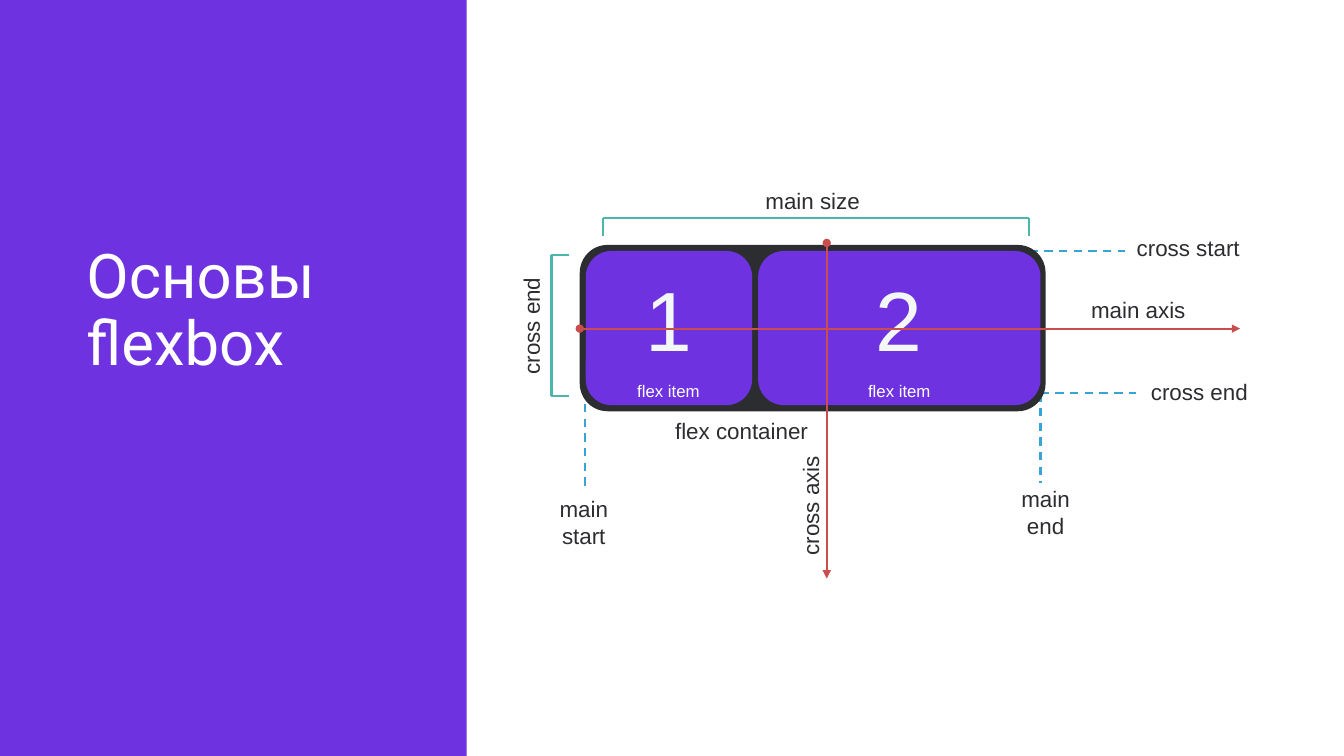
from dataclasses import dataclass

import pptx
import pptx.dml.color
import pptx.enum.dml
import pptx.enum.shapes
import pptx.enum.text
import pptx.oxml
import pptx.oxml.ns
import pptx.util
from pptx.util import Inches

ALIGN = pptx.enum.text.PP_ALIGN
ANCHOR = pptx.enum.text.MSO_ANCHOR
SHAPE = pptx.enum.shapes.MSO_SHAPE


@dataclass(frozen=True)
class Theme:
    purple: str = "6E32E0"
    dark: str = "2C2D30"
    white: str = "FFFFFF"
    digit: str = "F3F7F5"
    guide: str = "38A3D5"
    axis: str = "C94D4C"
    bracket: str = "4DB6AC"
    title_font: str = "Roboto"
    body_font: str = "Arial"
    title_size: int = 44
    digit_size: int = 60
    label_size: int = 16
    item_size: int = 12
    line_width: float = 1.5


THEME = Theme()


def rgb(color):
    return pptx.dml.color.RGBColor.from_string(color)


def add_text(slide, text, left, top, width, height, *, size=THEME.label_size,
             font=THEME.body_font, color=THEME.dark, align=ALIGN.CENTER,
             anchor=ANCHOR.MIDDLE, inset_y=0.1, spacing=None, rotation=0):
    box = slide.shapes.add_textbox(Inches(left), Inches(top), Inches(width), Inches(height))
    box.rotation = rotation
    frame = box.text_frame
    frame.word_wrap = True
    frame.vertical_anchor = anchor
    frame.margin_left = frame.margin_right = Inches(0.1)
    frame.margin_top = frame.margin_bottom = Inches(inset_y)
    paragraph = frame.paragraphs[0]
    paragraph.alignment = align
    paragraph.line_spacing = spacing
    run = paragraph.add_run()
    run.text = text
    run.font.size = pptx.util.Pt(size)
    run.font.name = font
    run.font.color.rgb = rgb(color)


def add_block(slide, left, top, width, height, color, corner=None):
    kind = SHAPE.RECTANGLE if corner is None else SHAPE.ROUNDED_RECTANGLE
    block = slide.shapes.add_shape(kind, Inches(left), Inches(top), Inches(width), Inches(height))
    if corner is not None:
        block.adjustments[0] = corner
    block.shadow.inherit = False
    block.fill.solid()
    block.fill.fore_color.rgb = rgb(color)
    block.line.fill.background()


def add_line(slide, start, end, color, *, dashed=False, arrow=False):
    line = slide.shapes.add_connector(
        pptx.enum.shapes.MSO_CONNECTOR.STRAIGHT, *map(Inches, start + end))
    line.line.color.rgb = rgb(color)
    line.line.width = pptx.util.Pt(THEME.line_width)
    if dashed:
        line.line.dash_style = pptx.enum.dml.MSO_LINE.DASH
    if arrow:
        outline = line.line._get_or_add_ln()
        for tag, kind in (("headEnd", "oval"), ("tailEnd", "triangle")):
            outline.append(pptx.oxml.parse_xml(
                f'<a:{tag} {pptx.oxml.ns.nsdecls("a")} type="{kind}"/>'))
    line._element.spPr.append(
        pptx.oxml.parse_xml(f'<a:effectLst {pptx.oxml.ns.nsdecls("a")}/>'))


def add_bracket(slide, *corners):
    for start, end in zip(corners, corners[1:]):
        add_line(slide, start, end, THEME.bracket)


def add_flex_item(slide, left, width, number, center):
    add_block(slide, left, 2.49, width, 1.53, THEME.purple, corner=0.167)
    add_text(slide, number, center - 0.72, 2.55, 1.44, 1.42, size=THEME.digit_size,
             color=THEME.digit, anchor=ANCHOR.TOP)


def main():
    deck = pptx.Presentation()
    deck.slide_width, deck.slide_height = Inches(13.33), Inches(7.5)
    slide = deck.slides.add_slide(deck.slide_layouts[6])

    # Title panel
    add_block(slide, 0, 0, 4.63, 7.5, THEME.purple)
    add_text(slide, "Основы flexbox", 0.76, 0.21, 3.83, 5.77, size=THEME.title_size,
             font=THEME.title_font, color=THEME.white, align=ALIGN.LEFT,
             inset_y=0.05, spacing=0.9)

    # Dashed start and end guides
    for start, end in (((5.8, 3.86), (5.8, 4.85)),
                       ((10.21, 2.49), (11.16, 2.49)),
                       ((10.32, 3.9), (11.27, 3.9)),
                       ((10.32, 3.9), (10.32, 4.79))):
        add_line(slide, start, end, THEME.guide, dashed=True)

    # Flex container with its two items
    item_centers = (6.63, 8.92)
    add_block(slide, 5.75, 2.43, 4.62, 1.65, THEME.dark, corner=0.167)
    add_flex_item(slide, 5.81, 1.65, "1", item_centers[0])
    add_flex_item(slide, 7.52, 2.8, "2", item_centers[1])

    # Cross and main axes
    add_line(slide, (8.2, 2.41), (8.2, 5.74), THEME.axis, arrow=True)
    add_line(slide, (5.75, 3.26), (12.3, 3.26), THEME.axis, arrow=True)

    # Size brackets
    add_bracket(slide, (5.98, 2.34), (5.98, 2.16), (10.21, 2.16), (10.21, 2.34))
    add_bracket(slide, (5.64, 3.93), (5.47, 3.93), (5.47, 2.53), (5.64, 2.53))

    # Labels
    for center in item_centers:
        add_text(slide, "flex item", center - 0.77, 3.79, 1.54, 0.18,
                 size=THEME.item_size, color=THEME.white)
    for text, left, top, width, height, rotation in (
            ("flex container", 6.56, 4.18, 1.59, 0.18, 0),
            ("main axis", 10.27, 2.98, 2.04, 0.18, 0),
            ("cross start", 11.16, 2.4, 1.25, 0.12, 0),
            ("cross end", 11.27, 3.82, 1.25, 0.12, 0),
            ("main size", 7.04, 1.9, 2.04, 0.18, 0),
            ("cross end", 4.62, 3.12, 1.29, 0.23, 270),
            ("main start", 5.32, 5, 0.94, 0.36, 0),
            ("main end", 9.9, 4.9, 0.94, 0.36, 0),
            ("cross axis", 7.39, 4.9, 1.29, 0.23, 270)):
        add_text(slide, text, left, top, width, height, rotation=rotation)

    deck.save("out.pptx")


if __name__ == "__main__":
    main()
